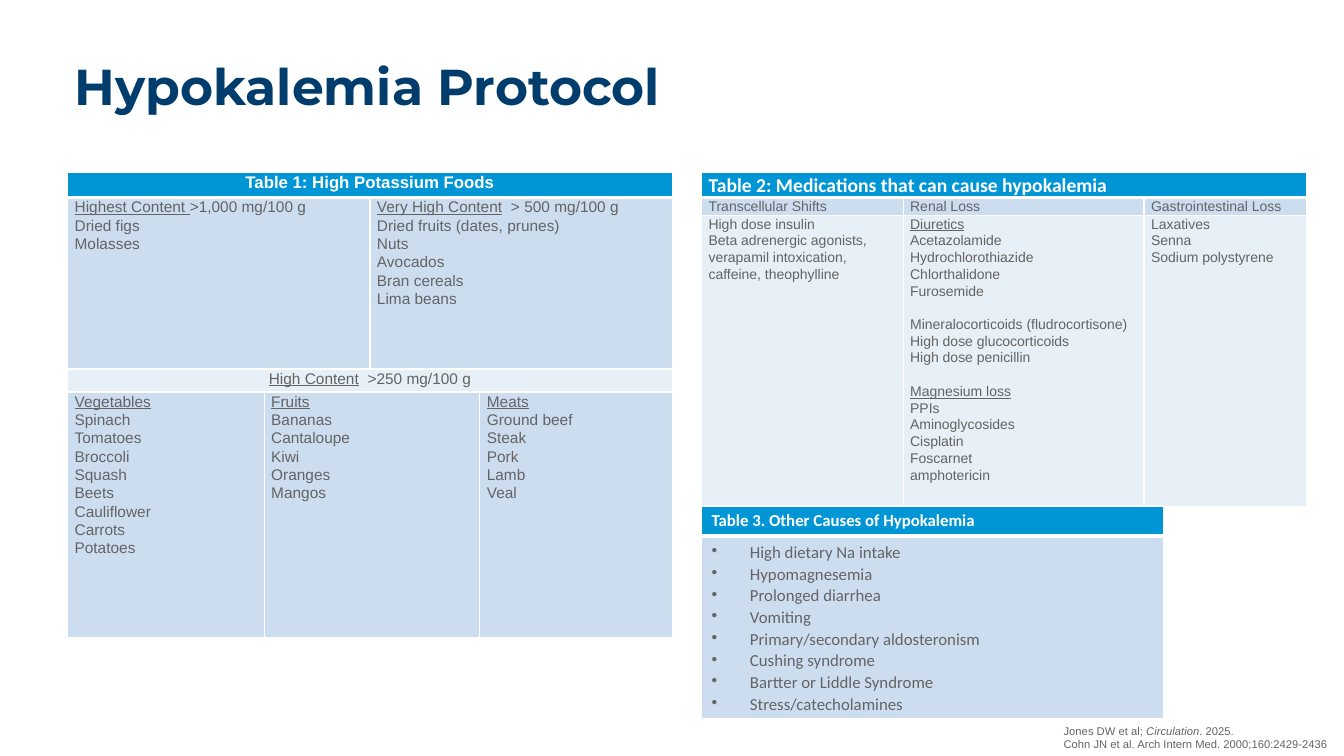
from lxml.etree import SubElement
from pptx import Presentation
from pptx.dml.color import RGBColor
from pptx.enum.text import MSO_ANCHOR, PP_ALIGN
from pptx.oxml.ns import qn
from pptx.util import Emu, Inches, Pt

BLUE, NAVY, GREY, WHITE = "0096D6", "003C6C", "636463", "FFFFFF"
PALE, FAINT = "CCDDF0", "E7EFF7"

deck = Presentation()
deck.slide_width, deck.slide_height = Inches(13.33), Inches(7.5)
slide = deck.slides.add_slide(deck.slide_layouts[6])


def tint(code):
    return RGBColor.from_string(code)


def area(left, top, width, height):
    """Turn percent of the slide into lengths."""
    wide, high = deck.slide_width / 100, deck.slide_height / 100
    return [Emu(round(n)) for n in
            (left * wide, top * high, width * wide, height * high)]


def put(frame, text, size=11, font="Arial", color=GREY, bold=False,
        align=PP_ALIGN.LEFT, space=1.07, mark="underline", dot=False):
    """Write lines; _marked_ parts get the mark, an empty line adds a gap."""
    para, gap = None, False
    for line in text.split("\n"):
        if not line:
            gap = True
            continue
        para = frame.add_paragraph() if para else frame.paragraphs[0]
        if dot:
            props = para._p.get_or_add_pPr()
            props.set("marL", str(Inches(0.38)))
            props.set("indent", str(-Inches(0.38)))
            SubElement(props, qn("a:buChar")).set("char", "•")
        para.alignment, para.line_spacing = align, space
        if gap:
            para.space_before, gap = Pt(12), False
        for i, part in enumerate(line.split("_")):
            if part:
                run = para.add_run()
                run.text = part
                run.font.size, run.font.name = Pt(size), font
                run.font.bold, run.font.color.rgb = bold, tint(color)
                if i % 2:
                    setattr(run.font, mark, True)


def edge(cell, side, width):
    line = SubElement(cell._tc.get_or_add_tcPr(), qn("a:ln" + side))
    line.set("w", str(Pt(width)))
    SubElement(SubElement(line, qn("a:solidFill")), qn("a:srgbClr")).set("val", WHITE)


def grid(box, cols, rows, fills, cells, inset=(0.07, 0), **style):
    """Draw a table; each cell is row, column, span, text and its format."""
    left, top, width, height = box
    table = slide.shapes.add_table(len(rows), len(cols), *box).table
    table.first_row = table.horz_banding = False
    for col, share in zip(table.columns, cols):
        col.width = Emu(round(width * share / sum(cols)))
    for row, share in zip(table.rows, rows):
        row.height = Emu(round(height * share / sum(rows)))
    # Fills, margins and white rules, thick under the header
    for r, fill in enumerate(fills):
        for cell in table.rows[r].cells:
            for side in "LRTB":
                edge(cell, side, 3 if (r, side) in ((0, "B"), (1, "T")) else 1)
            cell.fill.solid()
            cell.fill.fore_color.rgb = tint(fill)
            cell.margin_left = cell.margin_right = Inches(inset[0])
            cell.margin_top = cell.margin_bottom = Inches(inset[1])
    for r, c, span, text, more in cells:
        cell = table.cell(r, c)
        if span > 1:
            cell.merge(table.cell(r, c + span - 1))
        put(cell.text_frame, text, **{**style, **more})


def note(box, text, anchor, inset, **style):
    frame = slide.shapes.add_textbox(*box).text_frame
    frame.word_wrap, frame.vertical_anchor = True, anchor
    frame.margin_left, frame.margin_right = Inches(inset), Inches(0.04)
    put(frame, text, **style)


def title(box):
    note(box, "Hypokalemia Protocol", MSO_ANCHOR.MIDDLE, 0.1, size=36,
         font="Montserrat", color=NAVY, bold=True, space=0.9)


def foods(box):
    mid = {"align": PP_ALIGN.CENTER}
    head = {"size": 12, "color": WHITE, "bold": True, **mid}
    grid(box, [1.95, 1.05, 1.09, 1.91], [0.25, 1.7, 0.23, 2.44],
         [BLUE, PALE, FAINT, PALE], [
        (0, 0, 4, "Table 1: High Potassium Foods", head),
        (1, 0, 2, "_Highest Content _>1,000 mg/100 g\nDried figs\nMolasses", {}),
        (1, 2, 2, "_Very High Content_  > 500 mg/100 g\nDried fruits (dates, prunes)\n"
                  "Nuts\nAvocados\nBran cereals\nLima beans", {}),
        (2, 0, 4, "_High Content_  >250 mg/100 g", mid),
        (3, 0, 1, "_Vegetables_\nSpinach\nTomatoes\nBroccoli\nSquash\nBeets\n"
                  "Cauliflower\nCarrots\nPotatoes", {}),
        (3, 1, 2, "_Fruits_\nBananas\nCantaloupe\nKiwi\nOranges\nMangos", {}),
        (3, 3, 1, "_Meats_\nGround beef\nSteak\nPork\nLamb\nVeal", {})])


def drugs(box):
    head = {"size": 14, "font": "Calibri", "color": WHITE, "bold": True}
    grid(box, [2, 2.39, 1.61], [0.25, 0.17, 2.89], [BLUE, PALE, FAINT], [
        (0, 0, 3, "Table 2: Medications that can cause hypokalemia", head),
        (1, 0, 1, "Transcellular Shifts", {}),
        (1, 1, 1, "Renal Loss", {}),
        (1, 2, 1, "Gastrointestinal Loss", {}),
        (2, 0, 1, "High dose insulin\nBeta adrenergic agonists, verapamil "
                  "intoxication, caffeine, theophylline", {}),
        (2, 1, 1, "_Diuretics_\nAcetazolamide\nHydrochlorothiazide\nChlorthalidone\n"
                  "Furosemide\n\nMineralocorticoids (fludrocortisone)\n"
                  "High dose glucocorticoids\nHigh dose penicillin\n\n"
                  "_Magnesium loss_\nPPIs\nAminoglycosides\nCisplatin\n"
                  "Foscarnet\namphotericin", {}),
        (2, 2, 1, "Laxatives\nSenna\nSodium polystyrene", {})], size=10)


def causes(box):
    head = {"color": WHITE, "bold": True, "space": 1.0}
    grid(box, [1], [0.29, 1.8], [BLUE, PALE], [
        (0, 0, 1, "Table 3. Other Causes of Hypokalemia", head),
        (1, 0, 1, "High dietary Na intake\nHypomagnesemia\nProlonged diarrhea\n"
                  "Vomiting\nPrimary/secondary aldosteronism\nCushing syndrome\n"
                  "Bartter or Liddle Syndrome\nStress/catecholamines",
         {"dot": True})],
         inset=(0.1, 0.05), size=12, font="Calibri", space=1.06)


def cites(box):
    note(box, "Jones DW et al; _Circulation_. 2025.\n"
              "Cohn JN et al. Arch Intern Med. 2000;160:2429-2436",
         MSO_ANCHOR.BOTTOM, 0.16, size=8, space=1.0, mark="italic")


# Boxes are percent of the slide: left, top, width, height
title(area(4.8, 6.8, 92.4, 9.9))
foods(area(5.03, 22.8, 45, 61.6))
drugs(area(52.2, 22.8, 45, 44.1))
cites(area(77.94, 93.2, 22.06, 6.8))
causes(area(52.2, 66.93, 34.36, 28))

deck.save("out.pptx")
